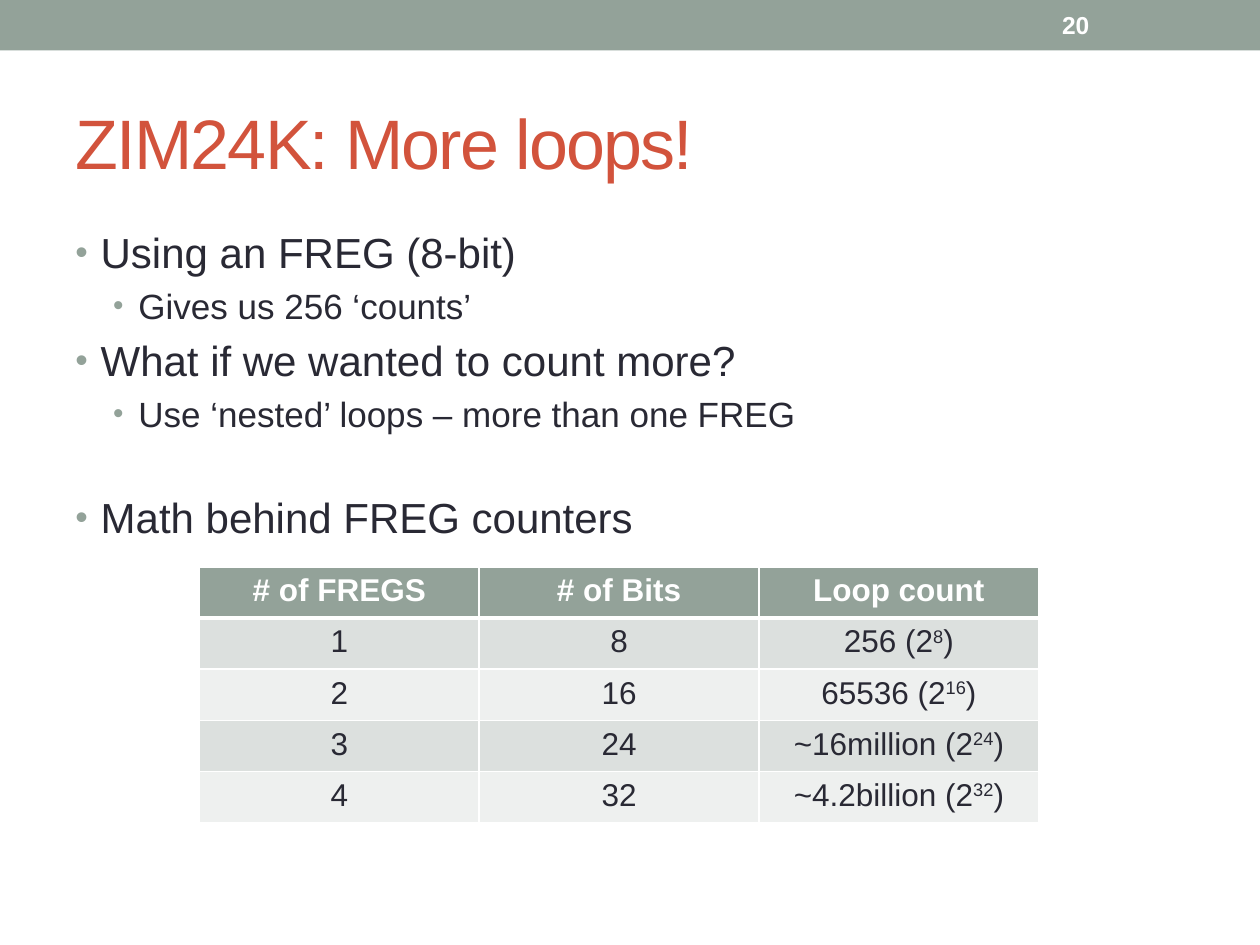
from lxml import etree
from pptx import Presentation
from pptx.dml.color import RGBColor
from pptx.enum.shapes import MSO_SHAPE
from pptx.enum.text import MSO_ANCHOR, MSO_AUTO_SIZE, PP_ALIGN
from pptx.oxml.ns import qn
from pptx.util import Cm, Pt

RECT = MSO_SHAPE.RECTANGLE
MID, TOP = MSO_ANCHOR.MIDDLE, MSO_ANCHOR.TOP
LEFT, MIDST = PP_ALIGN.LEFT, PP_ALIGN.CENTER
FIXED = MSO_AUTO_SIZE.NONE
HUES = {"sage": "93A299", "rust": "D2533C", "ink": "292934", "white": "FFFFFF",
        "dark": "DCE0DE", "pale": "EEF0EF"}


def add_run(para, text, size, hue, bold=False):
    run = para.add_run()
    run.text = text
    style = {"name": "Arial", "size": Pt(size), "bold": bold}
    for key, val in style.items():
        setattr(run.font, key, val)
    run.font.color.rgb = RGBColor.from_string(HUES[hue])
    return run._r.get_or_add_rPr()


def add_node(node, tag, **attrs):
    return etree.SubElement(node, qn(tag), attrs)


deck = Presentation()
deck.slide_width, deck.slide_height = Cm(25.4), Cm(19.05)
slide = deck.slides.add_slide(deck.slide_layouts[5])

band = slide.shapes.add_shape(RECT, 0, 0, Cm(25.4), Cm(1.02))
band.shadow.inherit = False
band.fill.solid()
band.fill.fore_color.rgb = RGBColor.from_string(HUES["sage"])
band.line.fill.background()

title = slide.shapes.title
place = {"left": Cm(1.27), "top": Cm(1.49), "width": Cm(22.86), "height": Cm(2.74)}
for key, val in place.items():
    setattr(title, key, val)
body = slide.shapes.add_textbox(Cm(1.27), Cm(4.45), Cm(22.86), Cm(13.54))
page = slide.shapes.add_textbox(Cm(21.16), Cm(0.05), Cm(2.97), Cm(0.91))
for box, anchor in ((title, MID), (body, TOP), (page, MID)):
    form = {"word_wrap": True, "auto_size": FIXED, "vertical_anchor": anchor}
    for key, val in form.items():
        setattr(box.text_frame, key, val)

head = title.text_frame.paragraphs[0]
head.alignment = LEFT
add_run(head, "ZIM24K: More loops!", 40, "rust").set("spc", "-100")
add_run(page.text_frame.paragraphs[0], "20", 14, "white", True)

points = [
    (0, 0, "Using an FREG (8-bit)"),
    (1, 4, "Gives us 256 ‘counts’"),
    (0, 4.8, "What if we wanted to count more?"),
    (1, 4, "Use ‘nested’ loops – more than one FREG"),
    (0, 32.8, "Math behind FREG counters"),
]
for num, (level, gap, text) in enumerate(points):
    para = body.text_frame.add_paragraph() if num else body.text_frame.paragraphs[0]
    para.level = level
    para.space_before = Pt(gap)
    props = para._p.get_or_add_pPr()
    props.set("marL", str(Cm(0.51 + 0.76 * level)))
    props.set("indent", str(Cm(-0.51)))
    add_node(add_node(props, "a:buClr"), "a:srgbClr", val=HUES["sage"])
    add_node(props, "a:buSzPct", val="85000")
    add_node(props, "a:buFont", typeface="Arial")
    add_node(props, "a:buChar", char="•")
    add_run(para, text, 24 - 4 * level, "ink")

rows = [
    ("# of FREGS", "# of Bits", "Loop count"),
    ("1", "8", "256"),
    ("2", "16", "65536"),
    ("3", "24", "~16million"),
    ("4", "32", "~4.2billion"),
]
table = slide.shapes.add_table(5, 3, Cm(4.02), Cm(11.43), Cm(16.93), Cm(5.16)).table
for col in table.columns:
    col.width = Cm(5.64)
for i, row in enumerate(rows):
    table.rows[i].height = Cm(1.03)
    fill = "sage" if i == 0 else "dark" if i % 2 else "pale"
    for j, text in enumerate(row):
        cell = table.cell(i, j)
        props = cell._tc.get_or_add_tcPr()
        for side in "LRTB":
            thick = (i, side) in ((0, "B"), (1, "T"))
            edge = add_node(props, f"a:ln{side}", w=str(Pt(3 if thick else 1)))
            add_node(add_node(edge, "a:solidFill"), "a:srgbClr", val=HUES["white"])
        cell.fill.solid()
        cell.fill.fore_color.rgb = RGBColor.from_string(HUES[fill])
        para = cell.text_frame.paragraphs[0]
        para.alignment = MIDST
        if i and j == 2:
            add_run(para, f"{text} (2", 18, "ink")
            add_run(para, row[1], 18, "ink").set("baseline", "30000")
            add_run(para, ")", 18, "ink")
        else:
            add_run(para, text, 18, "ink" if i else "white", i == 0)

deck.save("out.pptx")
